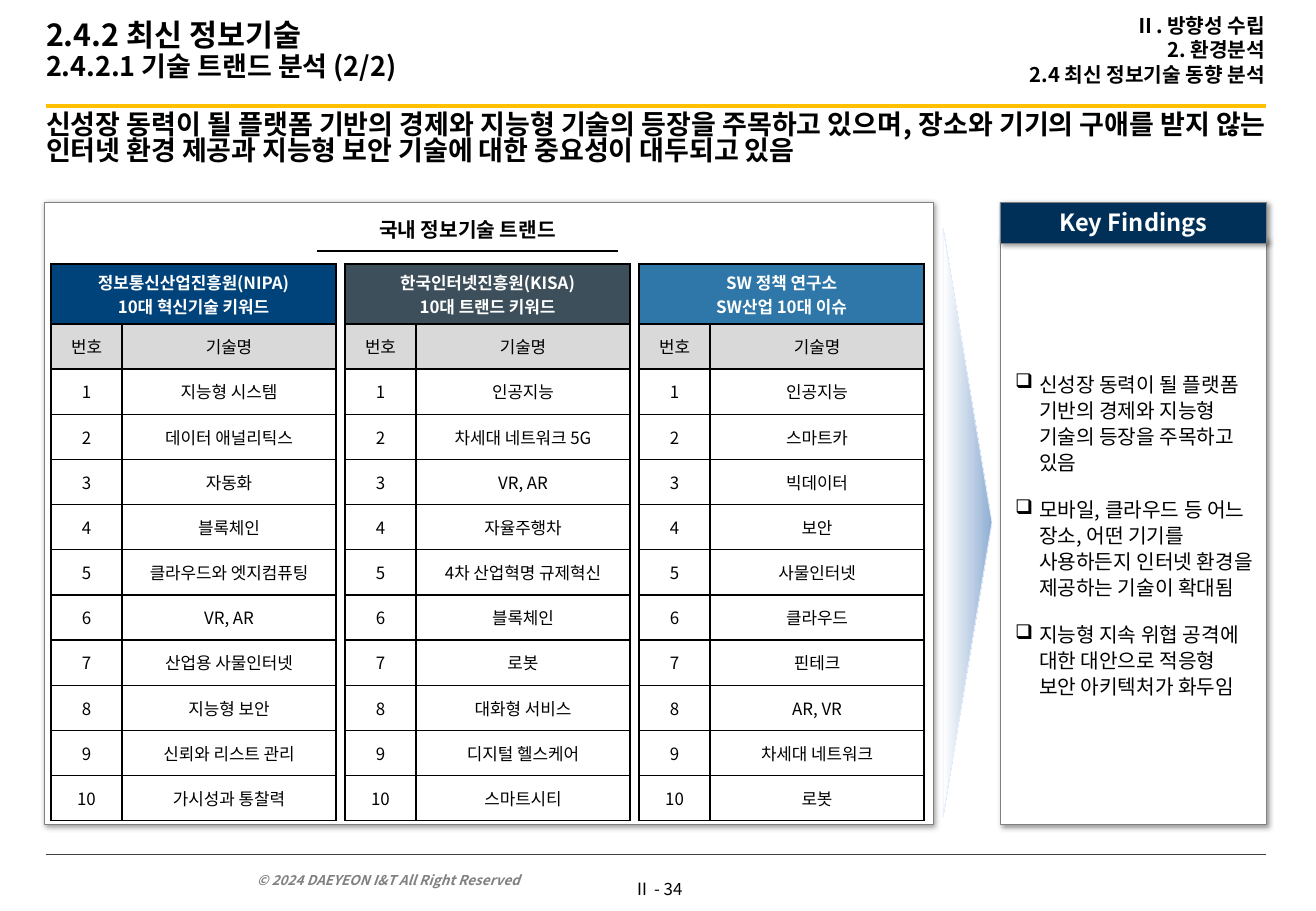
import lxml.etree
import pptx
import pptx.dml.color
import pptx.enum.shapes
import pptx.enum.text
import pptx.oxml.ns
import pptx.util

FONT = "Noto Sans CJK KR"
COLORS = {
    "black": "000000", "white": "FFFFFF", "gray": "808080", "charcoal": "404040",
    "gold": "FFC000", "navy": "003058", "subhead": "D9D9D9", "blue": "00437A",
    "slate": "3C4F5A", "sky": "2E77A8", "arrow": "8FAED3", "arrow_edge": "E5EFFE",
}
TITLE = "2.4.2 최신 정보기술\v2.4.2.1 기술 트랜드 분석 (2/2)"
BREADCRUMB = ["Ⅱ. 방향성 수립", "2. 환경분석", "2.4 최신 정보기술 동향 분석"]
MESSAGE = ("신성장 동력이 될 플랫폼 기반의 경제와 지능형 기술의 등장을 주목하고 있으며, 장소와 기기의 구애를 받지 "
           "않는 인터넷 환경 제공과 지능형 보안 기술에 대한 중요성이 대두되고 있음")
TREND_HEADING = "국내 정보기술 트랜드"
COLUMN_HEADS = ("번호", "기술명")
TRENDS = [
    (["정보통신산업진흥원(NIPA)", "10대 혁신기술 키워드"], "blue",
     ["지능형 시스템", "데이터 애널리틱스", "자동화", "블록체인", "클라우드와 엣지컴퓨팅",
      "VR, AR", "산업용 사물인터넷", "지능형 보안", "신뢰와 리스트 관리", "가시성과 통찰력"]),
    (["한국인터넷진흥원(KISA)", "10대 트랜드 키워드"], "slate",
     ["인공지능", "차세대 네트워크 5G", "VR, AR", "자율주행차", "4차 산업혁명 규제혁신",
      "블록체인", "로봇", "대화형 서비스", "디지털 헬스케어", "스마트시티"]),
    (["SW 정책 연구소", "SW산업 10대 이슈"], "sky",
     ["인공지능", "스마트카", "빅데이터", "보안", "사물인터넷",
      "클라우드", "핀테크", "AR, VR", "차세대 네트워크", "로봇"]),
]
FINDINGS_HEADING = "Key Findings"
FINDINGS = [
    "신성장 동력이 될 플랫폼 기반의 경제와 지능형 기술의 등장을 주목하고 있음",
    "모바일, 클라우드 등 어느 장소, 어떤 기기를 사용하든지 인터넷 환경을 제공하는 기술이 확대됨",
    "지능형 지속 위협 공격에 대한 대안으로 적응형 보안 아키텍처가 화두임",
]
COPYRIGHT = "© 2024 DAEYEON I&T All Right Reserved"
PAGE = "Ⅱ - 34"

SLIDE_SIZE = (1316, 911)
TABLE_LEFT, TABLE_TOP, TABLE_PITCH = 51, 264, 294
COLUMN_WIDTHS = (71, 214)
HEAD_HEIGHT, BODY_HEIGHT = 60, 497

ALIGN = pptx.enum.text.PP_ALIGN
ANCHOR = pptx.enum.text.MSO_ANCHOR
SHAPE = pptx.enum.shapes.MSO_SHAPE
qn = pptx.oxml.ns.qn


def px(length):
    return round(length * 914400 / 121.5)


def rgb(name):
    return pptx.dml.color.RGBColor.from_string(COLORS[name])


def add_xml(parent, tag, **attributes):
    return lxml.etree.SubElement(parent, qn(tag), attributes)


def write(frame, lines, size, color="black", bold=False, italic=False,
          align=ALIGN.LEFT, spacing=1.0, gap=0):
    for index, line in enumerate(lines):
        paragraph = frame.paragraphs[0] if index == 0 else frame.add_paragraph()
        paragraph.text = line
        paragraph.alignment = align
        paragraph.line_spacing = spacing
        if index and gap:
            paragraph.space_before = pptx.util.Pt(gap)
        for run in paragraph.runs:
            run.font.size = pptx.util.Pt(size)
            run.font.bold = bold
            run.font.italic = italic
            run.font.color.rgb = rgb(color)
            run.font.name = FONT
            add_xml(run.font._element, "a:ea", typeface=FONT)


def set_margins(target, left, top, right, bottom):
    target.margin_left, target.margin_top = px(left), px(top)
    target.margin_right, target.margin_bottom = px(right), px(bottom)


def add_text(slide, box, lines, size, margins=(0, 6, 0, 6), anchor=ANCHOR.MIDDLE,
             wrap=True, **style):
    frame = slide.shapes.add_textbox(*map(px, box)).text_frame
    frame.word_wrap = wrap
    frame.vertical_anchor = anchor
    set_margins(frame, *margins)
    write(frame, lines, size, **style)
    return frame


def add_rule(slide, left, right, y, color, width):
    rule = slide.shapes.add_connector(
        pptx.enum.shapes.MSO_CONNECTOR.STRAIGHT, px(left), px(y), px(right), px(y))
    rule.line.color.rgb = rgb(color)
    rule.line.width = pptx.util.Pt(width)
    add_xml(rule._element.spPr, "a:effectLst")


def add_panel(slide, box, fill):
    panel = slide.shapes.add_shape(SHAPE.RECTANGLE, *map(px, box))
    panel.fill.solid()
    panel.fill.fore_color.rgb = rgb(fill)
    panel.line.color.rgb = rgb("gray")
    panel.line.width = pptx.util.Pt(0.5)
    panel.shadow.inherit = False
    shadow = add_xml(panel._element.spPr.find(qn("a:effectLst")), "a:outerShdw",
                     blurRad="38100", dist="25400", dir="2700000", algn="tl", rotWithShape="0")
    add_xml(add_xml(shadow, "a:srgbClr", val=COLORS["black"]), "a:alpha", val="40000")
    panel.text_frame.word_wrap = True
    panel.text_frame.vertical_anchor = ANCHOR.MIDDLE
    return panel


def fill_cell(cell, lines, fill, color="black", bold=False):
    set_margins(cell, 6, 4, 6, 4)
    cell.vertical_anchor = ANCHOR.MIDDLE
    cell.fill.solid()
    cell.fill.fore_color.rgb = rgb(fill)
    write(cell.text_frame, lines, 10, color=color, bold=bold, align=ALIGN.CENTER)


def add_borders(cell):
    properties = cell._tc.get_or_add_tcPr()
    for position, side in enumerate(("a:lnL", "a:lnR", "a:lnT", "a:lnB")):
        border = lxml.etree.Element(qn(side), w="12700")
        add_xml(add_xml(border, "a:solidFill"), "a:srgbClr", val=COLORS["black"])
        properties.insert(position, border)


def add_trend_table(slide, left, heading, color, technologies):
    rows = [COLUMN_HEADS] + [(str(n), name) for n, name in enumerate(technologies, 1)]
    table = slide.shapes.add_table(
        len(rows) + 1, 2, px(left), px(TABLE_TOP), px(sum(COLUMN_WIDTHS)),
        px(HEAD_HEIGHT + BODY_HEIGHT)).table
    table.first_row = table.horz_banding = False
    for column, width in zip(table.columns, COLUMN_WIDTHS):
        column.width = px(width)
    for row in table.rows:
        row.height = px(BODY_HEIGHT / len(rows))
    table.rows[0].height = px(HEAD_HEIGHT)
    table.cell(0, 0).merge(table.cell(0, 1))
    fill_cell(table.cell(0, 0), heading, color, "white", True)
    for r, row in enumerate(rows, 1):
        for c, value in enumerate(row):
            fill_cell(table.cell(r, c), [value], "subhead" if r == 1 else "white")
    for cell in table.iter_cells():
        add_borders(cell)


def add_arrow(slide):
    arrow = slide.shapes.add_shape(SHAPE.ISOSCELES_TRIANGLE, *map(px, (673, 498, 589, 49)))
    arrow.rotation = 90
    arrow.shadow.inherit = False
    arrow.fill.gradient()
    arrow.fill.gradient_angle = 270
    for stop, color in zip(arrow.fill.gradient_stops, ("arrow", "white")):
        stop.color.rgb = rgb(color)
    arrow.line.color.rgb = rgb("arrow_edge")
    arrow.line.width = pptx.util.Pt(0.5)


def add_findings(slide):
    frame = add_panel(slide, (1000, 238, 266, 587), "white").text_frame
    set_margins(frame, 15, 11, 10, 5)
    write(frame, FINDINGS, 12, spacing=1.08, gap=12)
    for paragraph in frame.paragraphs:
        properties = paragraph._p.get_or_add_pPr()
        properties.set("marL", str(px(24)))
        properties.set("indent", str(-px(24)))
        add_xml(add_xml(properties, "a:buClr"), "a:srgbClr", val=COLORS["black"])
        add_xml(properties, "a:buChar", char="❑")
    heading = add_panel(slide, (1000, 202, 267, 41), "navy").text_frame
    write(heading, [FINDINGS_HEADING], 14, color="white", bold=True, align=ALIGN.CENTER)


def main():
    deck = pptx.Presentation()
    deck.slide_width, deck.slide_height = map(px, SLIDE_SIZE)
    slide = deck.slides.add_slide(deck.slide_layouts[6])

    add_rule(slide, 46, 1266, 106, "gold", 2.5)
    add_rule(slide, 46, 1266, 854, "charcoal", 0.5)
    title = add_text(slide, (46, 0, 938, 103), [TITLE], 18, bold=True, spacing=0.9)
    title.paragraphs[0].runs[1].font.size = pptx.util.Pt(16)
    add_text(slide, (835, 0, 430, 104), BREADCRUMB, 12, bold=True,
             align=ALIGN.RIGHT, spacing=0.8, gap=3)
    add_text(slide, (46, 114, 1220, 83), [MESSAGE], 16, margins=(0, 0, 0, 0),
             anchor=ANCHOR.TOP, bold=True, align=ALIGN.JUSTIFY, spacing=0.8)

    add_panel(slide, (44, 202, 889, 623), "white")
    add_text(slide, (323, 211, 289, 37), [TREND_HEADING], 12, bold=True, align=ALIGN.CENTER)
    add_rule(slide, 317, 618, 251, "black", 1)
    for index, trend in enumerate(TRENDS):
        add_trend_table(slide, TABLE_LEFT + index * TABLE_PITCH, *trend)
    add_arrow(slide)
    add_findings(slide)

    add_text(slide, (245, 861, 367, 33), [COPYRIGHT], 8, margins=(12, 6, 12, 6),
             anchor=ANCHOR.BOTTOM, color="gray", bold=True, italic=True)
    add_text(slide, (622, 872, 72, 33), [PAGE], 10, wrap=False, align=ALIGN.CENTER)
    deck.save("out.pptx")


if __name__ == "__main__":
    main()
